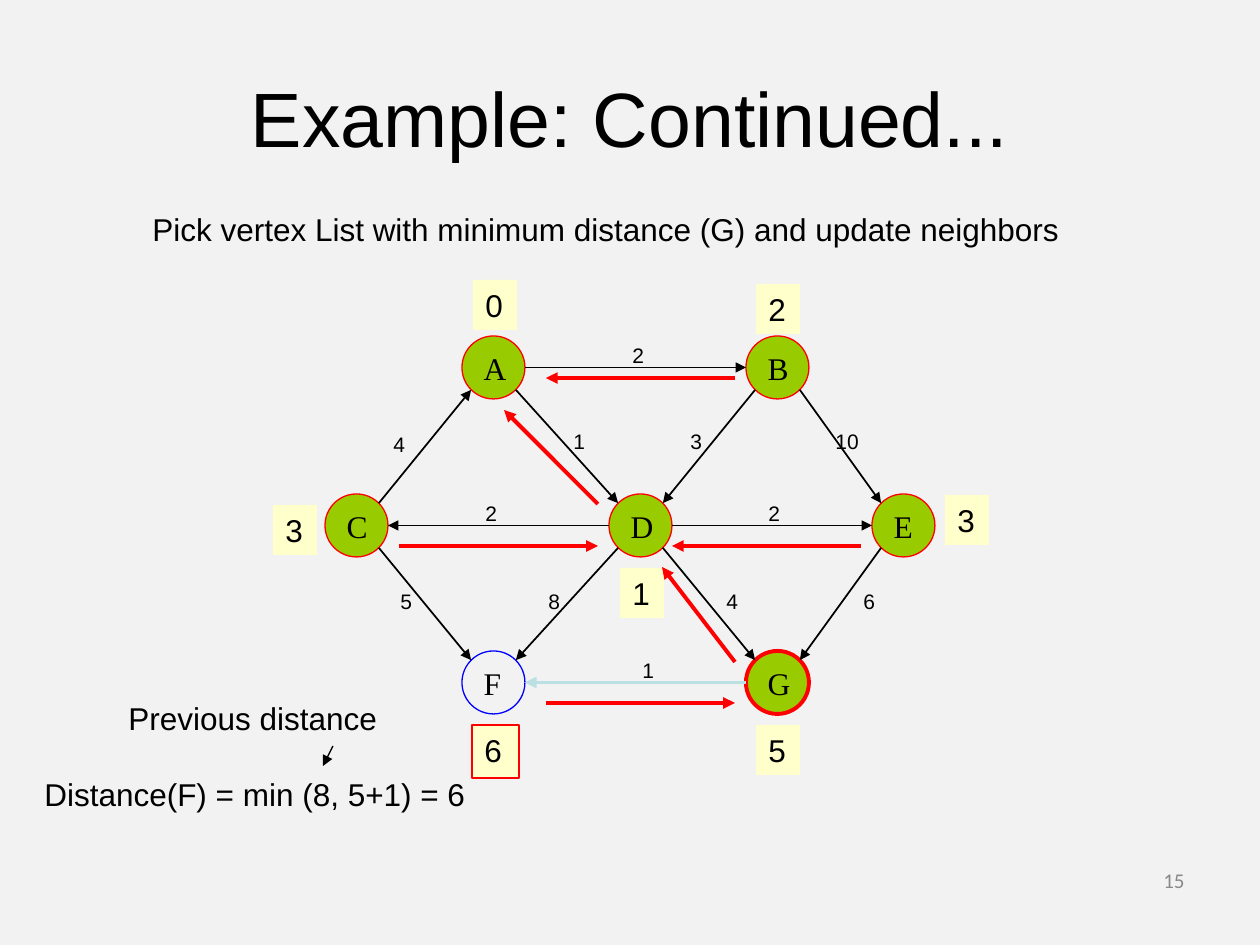
from lxml.etree import SubElement
from pptx import Presentation
from pptx.dml.color import RGBColor
from pptx.enum.shapes import MSO_CONNECTOR as Connector, MSO_SHAPE as Preset
from pptx.enum.text import MSO_ANCHOR as Anchor, MSO_AUTO_SIZE as Fit, PP_ALIGN as Align
from pptx.oxml.ns import qn
from pptx.util import Emu, Pt

PX_PER_INCH = 126
NODE = 63
VERTICES = {
    "A": (462, 336), "B": (746, 336), "C": (325, 494), "D": (609, 494),
    "E": (872, 494), "F": (462, 651), "G": (746, 651),
}
NODE_STYLES = {"F": (None, "0000FF", 0.75), "G": ("99CC00", "FF0000", 2.25)}
VISITED = ("99CC00", "FF0000", 0.75)
EDGES = [
    ("A", "B", "2", 620, 336), ("C", "A", "4", 381, 425),
    ("A", "D", "1", 561, 422), ("B", "D", "3", 678, 422),
    ("B", "E", "10", 823, 422), ("D", "C", "2", 473, 494),
    ("D", "E", "2", 756, 494), ("C", "F", "5", 388, 582),
    ("D", "F", "8", 536, 582), ("D", "G", "4", 714, 582),
    ("E", "G", "6", 851, 582), ("G", "F", "1", 630, 651),
]
EDGE_STYLES = {("G", "F"): ("BBE0E3", 2.25)}
DISTANCES = [
    ("0", 473, 280), ("2", 756, 284), ("3", 273, 505),
    ("3", 945, 495), ("1", 620, 568), ("5", 756, 725),
]
PREDECESSORS = [
    (598, 504, 504, 410), (735, 378, 546, 378), (861, 546, 672, 546),
    (735, 662, 662, 567), (546, 703, 735, 703), (399, 546, 598, 546),
]


def px(*lengths):
    return [Emu(round(length * 914400 / PX_PER_INCH)) for length in lengths]


def rgb(code):
    return RGBColor.from_string(code)


def sign(value):
    return (value > 0) - (value < 0)


def assign(target, values):
    for key, value in values.items():
        setattr(target, key, value)


class GraphSlide:
    """Holds the text style and the current slide, and draws each kind of element."""

    def __init__(self, slide, font="Arial", ink="000000"):
        self.slide, self.font, self.ink = slide, font, ink

    def background(self, code):
        fill = self.slide.background.fill
        fill.solid()
        fill.fore_color.rgb = rgb(code)

    def put_text(self, shape, text, size, font=None, ink=None, align=Align.LEFT, **frame_format):
        frame = shape.text_frame
        frame.text = text
        assign(frame, {"word_wrap": False, "vertical_anchor": Anchor.TOP, **frame_format})
        paragraph = frame.paragraphs[0]
        paragraph.alignment = align
        run_font = paragraph.runs[0].font
        assign(run_font, {"name": font or self.font, "size": Pt(size)})
        run_font.color.rgb = rgb(ink or self.ink)

    def title(self, text, box):
        title = self.slide.shapes.title
        assign(title, dict(zip(("left", "top", "width", "height"), px(*box))))
        self.put_text(title, text, 44, align=Align.CENTER, word_wrap=True,
                      vertical_anchor=Anchor.MIDDLE, auto_size=Fit.NONE)

    def text(self, text, box, size=18, **style):
        self.put_text(self.slide.shapes.add_textbox(*px(*box)), text, size, **style)

    def shape(self, preset, text, box, fill, line, width, **style):
        shape = self.slide.shapes.add_shape(preset, *px(*box))
        shape.shadow.inherit = False
        for paint, code in ((shape.fill, fill), (shape.line.fill, line)):
            if code:
                paint.solid()
                paint.fore_color.rgb = rgb(code)
            else:
                paint.background()
        if line:
            shape.line.width = Pt(width)
        self.put_text(shape, text, 18, **style)

    def node(self, name):
        self.shape(Preset.OVAL, name, (*VERTICES[name], NODE, NODE),
                   *NODE_STYLES.get(name, VISITED),
                   font="Times New Roman", vertical_anchor=Anchor.MIDDLE)

    def distance(self, text, left, top, width=44, height=50, line=None):
        self.shape(Preset.RECTANGLE, text, (left, top, width, height), "FFFFCC", line, 1.25)

    def arrow(self, ends, code, width):
        arrow = self.slide.shapes.add_connector(Connector.STRAIGHT, *px(*ends))
        arrow.line.color.rgb = rgb(code)
        arrow.line.width = Pt(width)
        properties = arrow._element.spPr
        SubElement(properties.find(qn("a:ln")), qn("a:tailEnd"), type="triangle")
        SubElement(properties, qn("a:effectLst"))

    def edge(self, start, end):
        steps = [sign(b - a) for a, b in zip(VERTICES[start], VERTICES[end])]
        reach = NODE / 2 * (0.71 if all(steps) else 1)
        ends = [corner + NODE / 2 + way * step * reach
                for name, way in ((start, 1), (end, -1))
                for corner, step in zip(VERTICES[name], steps)]
        self.arrow(ends, *EDGE_STYLES.get((start, end), (self.ink, 1)))

    def weight(self, text, left, top):
        self.text(text, (left, top, 26 + 12 * len(text), 38), 12,
                  vertical_anchor=Anchor.MIDDLE, auto_size=Fit.SHAPE_TO_FIT_TEXT)


def main():
    deck = Presentation()
    deck.slide_width, deck.slide_height = px(1260, 945)
    graph = GraphSlide(deck.slides.add_slide(deck.slide_layouts[5]))
    graph.background("F2F2F2")
    graph.title("Example: Continued...", (63, 38, 1134, 158))
    graph.text("Pick vertex List with minimum distance (G) and update neighbors",
               (140, 204, 937, 50))

    for name in VERTICES:
        graph.node(name)
    for start, end, weight, left, top in EDGES:
        graph.edge(start, end)
        graph.weight(weight, left, top)
    for value, left, top in DISTANCES:
        graph.distance(value, left, top)
    graph.distance("6", 472, 725, 47, 53, "FF0000")
    for ends in PREDECESSORS:
        graph.arrow(ends, "FF0000", 2.25)

    graph.text("Previous distance", (116, 693, 284, 50), word_wrap=True)
    graph.arrow((333, 746, 323, 766), "000000", 0.75)
    graph.text("Distance(F) = min (8, 5+1) = 6", (32, 769, 494, 50), word_wrap=True)
    graph.text("15", (903, 861, 294, 66), 12, font="Calibri", ink="898989",
               align=Align.RIGHT, word_wrap=True)
    deck.save("out.pptx")


if __name__ == "__main__":
    main()
